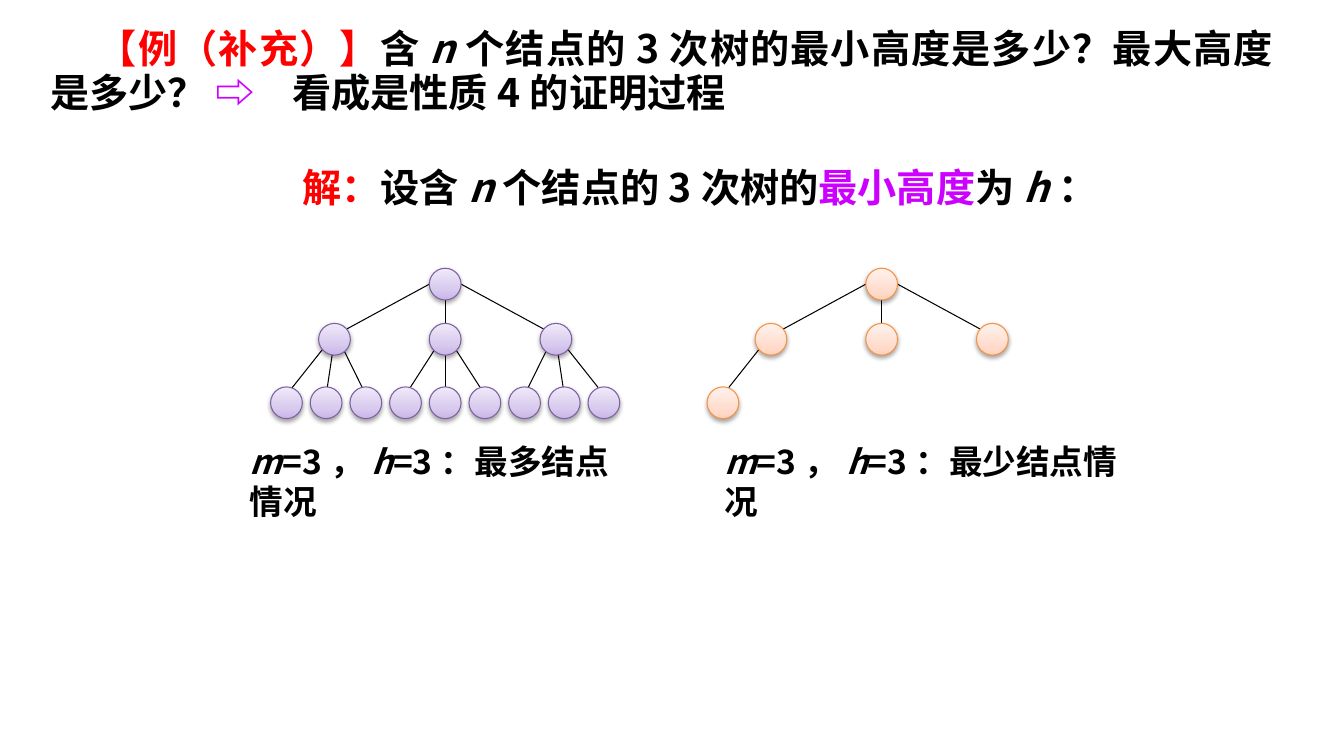
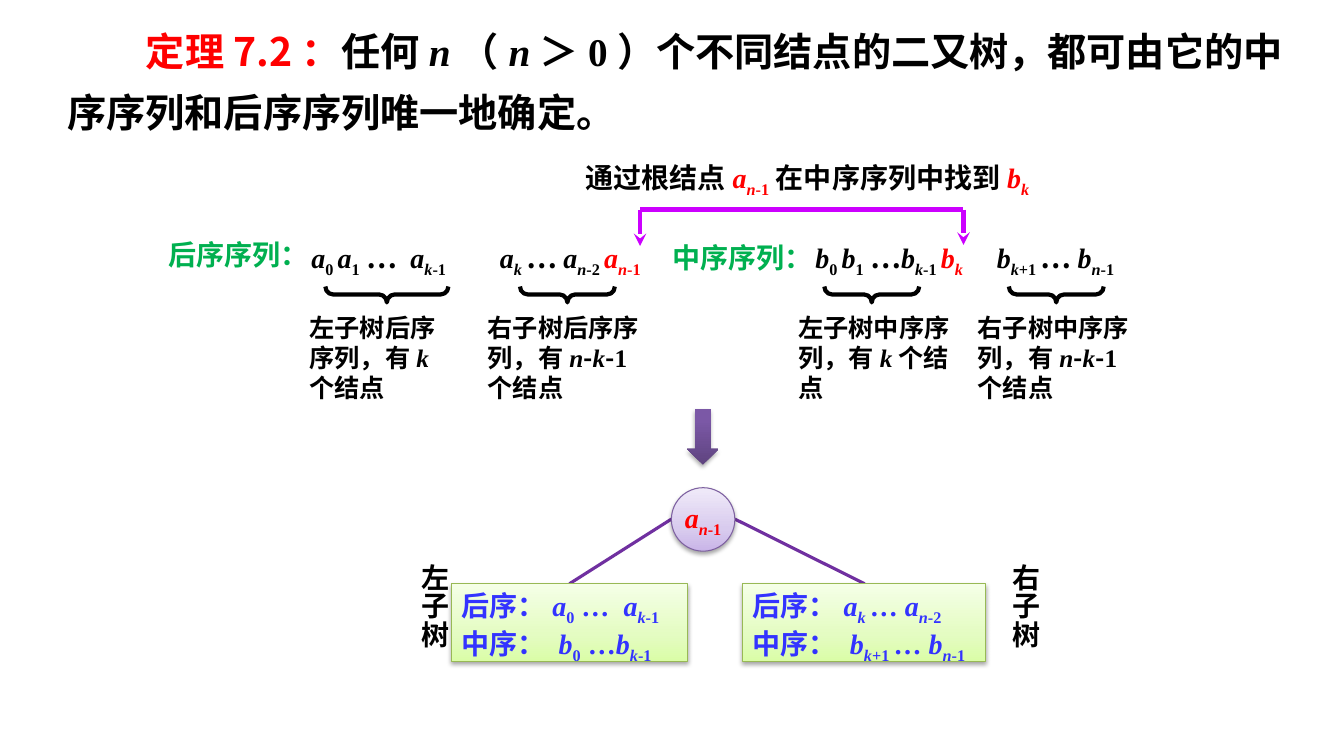
"""Build two slides on the height of ternary trees and on rebuilding a binary tree."""
from copy import deepcopy

from lxml.etree import SubElement
from pptx import Presentation
from pptx.dml.color import RGBColor as RGB
from pptx.enum.shapes import MSO_CONNECTOR as LINK, MSO_SHAPE as FORM
from pptx.enum.text import MSO_ANCHOR as ANCHOR, PP_ALIGN as ALIGN
from pptx.oxml.ns import qn
from pptx.util import Cm, Pt

BLACK = RGB(0x00, 0x00, 0x00)
RED = RGB(0xFF, 0x00, 0x00)
GREEN = RGB(0x00, 0xB0, 0x50)
PINK = RGB(0xCC, 0x00, 0xFF)
BLUE = RGB(0x33, 0x33, 0xFF)
PURPLE = RGB(0x70, 0x30, 0xA0)
VIOLET = RGB(0x7D, 0x60, 0xA0)
ORANGE = RGB(0xF6, 0x92, 0x40)
OLIVE = RGB(0x98, 0xB9, 0x55)
LILAC = [(0, RGB(0xC9, 0xB5, 0xE8)), (0.35, RGB(0xD8, 0xCB, 0xEE)), (1, RGB(0xF0, 0xEA, 0xF9))]
PEACH = [(0, RGB(0xFF, 0xD2, 0xBD)), (0.35, RGB(0xFF, 0xDE, 0xD0)), (1, RGB(0xFF, 0xF2, 0xED))]
LIME = [(0, RGB(0xDA, 0xFD, 0xA7)), (0.35, RGB(0xE4, 0xFC, 0xC2)), (1, RGB(0xF5, 0xFF, 0xE7))]
PLUM = [(0, RGB(0x5F, 0x44, 0x80)), (0.8, RGB(0x7B, 0x58, 0xA6)), (1, RGB(0x7C, 0x57, 0xA8))]
TONES = {"r": RED, "g": GREEN, "p": PINK, "b": BLUE}
SANS = "Noto Sans CJK SC"
SERIF = "Times New Roman"


def term(name, index, shift="", tone=""):
    """Return the runs of a letter with an italic index and an upright shift."""
    runs = [(name, "i" + tone), (index, "is" + tone), (shift, "s" + tone)]
    return [run for run in runs if run[0]]


def write(frame, paras, size, face, pad=0.0):
    """Fill a frame; flags: i italic, s subscript, z sans, w wide, the rest tones."""
    frame.word_wrap = True
    frame.margin_left = frame.margin_right = Cm(pad)
    frame.margin_top = frame.margin_bottom = Cm(pad / 2)
    for spot, runs in enumerate(paras):
        para = frame.add_paragraph() if spot else frame.paragraphs[0]
        para.alignment = ALIGN.LEFT
        for text, flags in runs:
            run = para.add_run()
            run.text = text
            font = run.font
            font.size, font.bold, font.italic = Pt(size), True, "i" in flags
            font.color.rgb = next((TONES[f] for f in flags if f in TONES), BLACK)
            font.name = SANS if "z" in flags else face
            props = run._r.get_or_add_rPr()
            SubElement(props, qn("a:ea")).set("typeface", SANS)
            if "s" in flags:
                props.set("baseline", "-25000")
            if "w" in flags:
                props.set("spc", str(size * 25))


deck = Presentation()
deck.slide_width, deck.slide_height = Cm(33.87), Cm(19.05)
first, second = [deck.slides.add_slide(deck.slide_layouts[6]) for _ in range(2)]

lines = [
    (second, 16.13, 5.28, 16.13, 6.2, PINK, 3, True),
    (second, 16.13, 5.28, 24.28, 5.28, PINK, 3, False),
    (second, 24.28, 5.28, 24.28, 6.17, PINK, 3, True),
    (second, 16.92, 13.08, 14.35, 14.71, PURPLE, 2.25, False),
    (second, 18.52, 13.08, 21.79, 14.71, PURPLE, 2.25, False),
]
wide = (" ", "zw")
dots = ("… ", "z")
left_box = [
    [("后序：", "b")] + term("a", "", "0", "b") + [(" … ", "b"), (" ", "b")] + term("a", "k", "-1", "b"),
    [("中序：", "b"), (" ", "b")] + term("b", "", "0", "b") + [(" …", "b")] + term("b", "k", "-1", "b"),
]
right_box = [
    [("后序：", "b")] + term("a", "k ", "", "b") + [("… ", "b")] + term("a", "n", "-2", "b"),
    [("中序：", "b"), (" ", "b")] + term("b", "k", "+1 ", "b") + [("… ", "b")] + term("b", "n", "-1", "b"),
]
forms = [
    (second, FORM.OVAL, 16.92, 12.29, 1.6, 1.6, LILAC, VIOLET, [term("a", "n", "-1", "r")]),
    (second, FORM.RECTANGLE, 11.38, 14.71, 5.94, 1.96, LIME, OLIVE, left_box),
    (second, FORM.RECTANGLE, 18.72, 14.71, 6.12, 1.96, LIME, OLIVE, right_box),
    (second, FORM.DOWN_ARROW, 17.32, 10.31, 0.79, 1.4, PLUM, None, []),
]

for mid, count, stops, edge in [(11.22, 9, LILAC, VIOLET), (22.22, 1, PEACH, ORANGE)]:
    nodes = [(mid, 7.16)]
    kids = [mid + 2.79 * side for side in (-1, 0, 1)]
    for side, kid in zip((-1, 0, 1), kids):
        nodes.append((kid, 8.55))
        lines.append((first, mid + 0.4 * side, 7.16, kid - 0.2 * side, 8.35, BLACK, 0.75, False))
    for leaf in range(count):
        kid, spot = kids[leaf // 3], mid + leaf - 4
        nodes.append((spot, 10.15))
        lines.append((first, kid + 0.1 * (leaf % 3 - 1), 8.55, spot, 9.95, BLACK, 0.75, False))
    forms += [(first, FORM.OVAL, x - 0.4, y - 0.4, 0.8, 0.8, stops, edge, []) for x, y in nodes]

for slide, x1, y1, x2, y2, tone, width, head in lines:
    link = slide.shapes.add_connector(LINK.STRAIGHT, Cm(x1), Cm(y1), Cm(x2), Cm(y2))
    link.line.color.rgb, link.line.width = tone, Pt(width)
    if head:
        SubElement(link.line._get_or_add_ln(), qn("a:tailEnd")).set("type", "stealth")
    SubElement(link._element.spPr, qn("a:effectLst"))

for slide, kind, x, y, w, h, stops, edge, paras in forms:
    shape = slide.shapes.add_shape(kind, Cm(x), Cm(y), Cm(w), Cm(h))
    shape.fill.gradient()
    shape.fill.gradient_angle = 90
    ramp = shape._element.spPr.find(qn("a:gradFill")).find(qn("a:gsLst"))
    ramp.insert(1, deepcopy(ramp[0]))
    for stop, (place, tone) in zip(shape.fill.gradient_stops, stops):
        stop.position, stop.color.rgb = place, tone
    if edge:
        shape.line.color.rgb, shape.line.width = edge, Pt(0.75)
    else:
        shape.line.fill.background()
    if paras:
        frame = shape.text_frame
        is_box = kind == FORM.RECTANGLE
        write(frame, paras, 20, SERIF, 0.25 if is_box else 0)
        frame.vertical_anchor = ANCHOR.TOP if is_box else ANCHOR.MIDDLE
        if not is_box:
            frame.paragraphs[0].alignment = ALIGN.CENTER

for mid, span in [(9.75, 3.1), (14.3, 2.39), (21.97, 2.39), (26.62, 2.39)]:
    brace = second.shapes.add_shape(FORM.LEFT_BRACE, Cm(mid - 0.2), Cm(7.42 - span / 2), Cm(0.4), Cm(span))
    brace.rotation = 270
    brace.adjustments[0] = 0.49
    brace.fill.background()
    brace.line.color.rgb, brace.line.width = BLACK, Pt(3)
    brace.shadow.inherit = False

heads = [
    (first, 1.27, 0.66, 30.81, 2.29, SANS, ALIGN.JUSTIFY, Pt(32), 1.2,
     [("【例（补充）】", "r"), ("含", ""), ("n", "i"),
      ("个结点的3次树的最小高度是多少？最大高度是多少？ ", ""),
      ("⇨", "p"), (" ", "w"), (" ", "w"), ("看成是性质4的证明过程", "")]),
    (first, 6.4, 3.99, 21.36, 1.3, SANS, ALIGN.JUSTIFY, 1.1, 1.22,
     [("解：", "r"), ("设含", ""), ("n", "i"), ("个结点的3次树的", ""),
      ("最小高度", "p"), ("为", ""), ("h", "i"), ("：", "")]),
    (second, 1.7, 0.33, 31.12, 3.1, SERIF, ALIGN.LEFT, 1.3, 1.98,
     [("定理7.2：", "rz"), ("任何", ""), ("n", "i"), ("（", ""), ("n", "i"),
      ("＞0）个不同结点的二又树，都可由它的中序序列和后序序列唯一地确定。", "")]),
]
for slide, x, y, w, h, face, align, gap, indent, runs in heads:
    frame = slide.shapes.add_textbox(Cm(x), Cm(y), Cm(w), Cm(h)).text_frame
    write(frame, [runs], 28, face)
    para = frame.paragraphs[0]
    para.alignment, para.line_spacing = align, gap
    para._p.get_or_add_pPr().set("indent", str(Cm(indent)))

few = [("k", "i"), ("个结点", "")]
rest = [("n", "i"), ("-", "z"), ("k", "i"), ("-", "z"), ("1个结点", "")]
texts = [
    (second, 14.76, 4.04, 11.76, 20,
     [("通过根结点", "")] + term("a", "n", "-1", "r") + [("在中序序列中找到", "")] + term("b", "k", "", "r")),
    (second, 4.24, 5.99, 3.81, 20, [("后序序列：", "g")]),
    (second, 16.94, 6.05, 3.81, 20, [("中序序列：", "g")]),
    (second, 7.85, 6.05, 4.6, 20,
     term("a", "", "0 ") + term("a", "", "1") + [(" …", "z"), wide] + term("a", "k", "-1")),
    (second, 12.6, 6.05, 4.4, 20,
     term("a", "k ") + [dots] + term("a", "n", "-2 ") + term("a", "n", "-1", "r")),
    (second, 20.55, 6.07, 4.5, 20,
     term("b", "", "0 ") + term("b", "", "1") + [(" …", "z")] + term("b", "k", "-1 ") + term("b", "k", "", "r")),
    (second, 25.12, 6.07, 4.2, 20, term("b", "k", "+1 ") + [dots] + term("b", "n", "-1")),
    (second, 7.8, 7.87, 3.58, 18, [("左子树后序序列，有", "")] + few),
    (second, 12.29, 7.87, 3.99, 18, [("右子树后序序列，有", "")] + rest),
    (second, 20.12, 7.87, 3.81, 18, [("左子树中序序列，有", "")] + few),
    (second, 24.64, 7.87, 3.99, 18, [("右子树中序序列，有", "")] + rest),
]
for x, w, case in [(6.3, 9.7, "最多"), (18.26, 10, "最少")]:
    runs = [("m", "iz"), ("=3，", "z"), ("h", "iz"), (f"=3：{case}结点情况", "z")]
    texts.append((first, x, 11.1, w, 24, runs))
for slide, x, y, w, size, runs in texts:
    high = {18: 2.31, 20: 0.86, 24: 2.1}[size]
    box = slide.shapes.add_textbox(Cm(x), Cm(y), Cm(w), Cm(high))
    write(box.text_frame, [runs], size, SERIF)

for x, side in [(10.01, "左子树"), (24.89, "右子树")]:
    frame = second.shapes.add_textbox(Cm(x), Cm(14.22), Cm(1.37), Cm(3.1)).text_frame
    write(frame, [[(side, "")]], 20, SANS)
    frame._txBody.bodyPr.set("vert", "eaVert")

deck.save("out.pptx")
